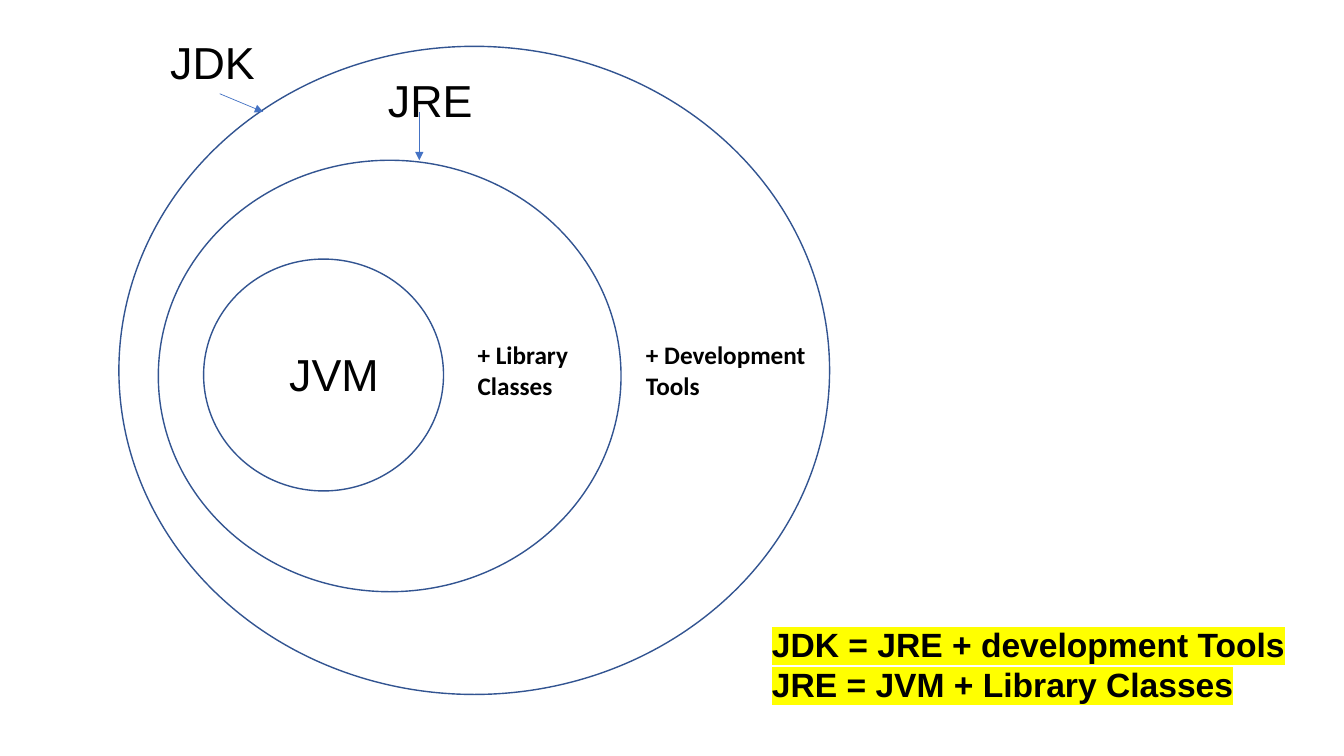
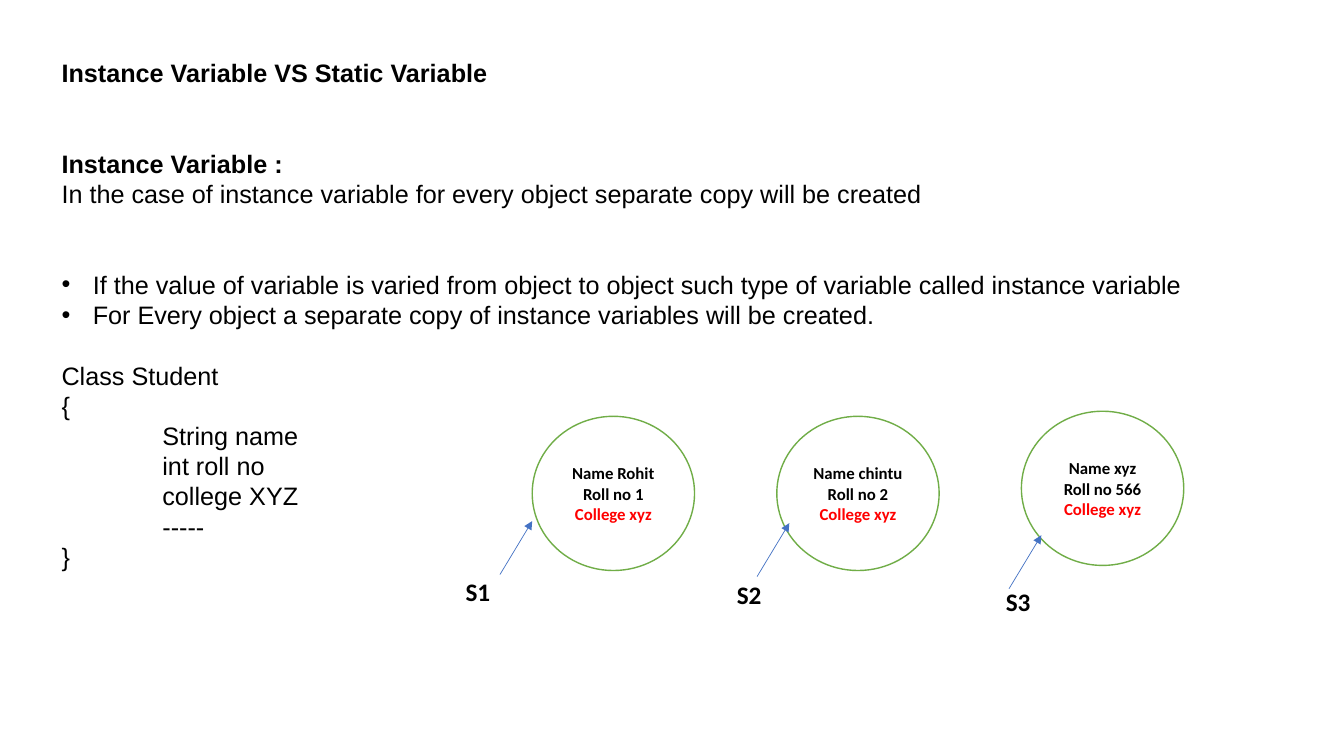
from dataclasses import dataclass
from typing import Optional

from lxml.etree import SubElement
from pptx import Presentation
from pptx.dml.color import RGBColor as RGB
from pptx.enum.shapes import MSO_CONNECTOR as Connector
from pptx.enum.shapes import MSO_SHAPE as Shape
from pptx.enum.text import MSO_ANCHOR as Anchor
from pptx.enum.text import MSO_AUTO_SIZE as AutoSize
from pptx.enum.text import PP_ALIGN as Align
from pptx.oxml.ns import qn
from pptx.util import Emu, Inches, Pt

# Shared look
COLORS = {
    "text": "000000",
    "paper": "FFFFFF",
    "ring": "325491",
    "arrow": "4472C4",
    "student": "70AD47",
    "alert": "FF0000",
    "marker": "FFFF00",
}
WIDTH, HEIGHT = Inches(13.33), Inches(7.5)
HEADING_FONT, LABEL_FONT = "Arial", "Calibri"
LINE_RATIO = 1.2  # line height of Arial text, as a share of its size
BODY_SIZE = 18
LINE_SHARE = 4  # one body line, in percent of the slide height


@dataclass(frozen=True)
class Area:
    """A rectangle in percent of the slide's width and height."""
    left: float
    top: float
    width: float
    height: float


@dataclass(frozen=True)
class Style:
    font: str = LABEL_FONT
    size: float = BODY_SIZE
    bold: bool = True
    color: str = "text"
    marker: Optional[str] = None


@dataclass(frozen=True)
class Line:
    text: str
    style: Style
    gap: int = 0  # empty lines above
    margin: float = 0  # inches
    bullet: bool = False


@dataclass(frozen=True)
class Student:
    name: str
    roll: str
    variable: str
    top: float
    label: tuple[float, float]
    arrow: tuple[float, float]


LABEL = Style()
BIG = Style(HEADING_FONT, 32, False)
SUMMARY = Style(HEADING_FONT, 24, marker="marker")
HEADING = Style(HEADING_FONT)
PLAIN = Style(HEADING_FONT, bold=False)
DETAIL = Style(size=12)
SHARED_DETAIL = Style(size=12, color="alert")


def rgb(name: str) -> RGB:
    return RGB.from_string(COLORS[name])


def across(share: float) -> Emu:
    return Emu(round(WIDTH * share / 100))


def down(share: float) -> Emu:
    return Emu(round(HEIGHT * share / 100))


def bounds(area: Area) -> tuple[Emu, Emu, Emu, Emu]:
    return across(area.left), down(area.top), across(area.width), down(area.height)


# Text
def add_span(para, text: str, style: Style) -> None:
    span = para.add_run()
    span.text = text
    font = span.font
    font.name, font.size, font.bold = style.font, Pt(style.size), style.bold
    font.color.rgb = rgb(style.color)
    if style.marker:
        properties = span._r.get_or_add_rPr()
        highlight = SubElement(properties, qn("a:highlight"))
        SubElement(highlight, qn("a:srgbClr"), val=COLORS[style.marker])
        properties.find(qn("a:solidFill")).addnext(highlight)


def set_bullet(para, line: Line) -> None:
    properties = para._p.get_or_add_pPr()
    margin = Inches(line.margin)
    properties.set("marL", str(margin))
    properties.set("indent", str(-margin if line.bullet else 0))
    if line.bullet:
        SubElement(properties, qn("a:buFont"), typeface=HEADING_FONT)
        SubElement(properties, qn("a:buChar"), char="•")
    else:
        SubElement(properties, qn("a:buNone"))


def write(frame, lines: list[Line], align=Align.LEFT, anchor=Anchor.TOP) -> None:
    frame.word_wrap = True
    frame.auto_size = AutoSize.NONE
    frame.vertical_anchor = anchor
    for index, line in enumerate(lines):
        para = frame.add_paragraph() if index else frame.paragraphs[0]
        para.alignment = align
        height = line.style.size * LINE_RATIO
        para.line_spacing = Pt(height) if line.style.font == HEADING_FONT else 1.0
        para.space_before = Pt(line.gap * height)
        para.space_after = Pt(0)
        set_bullet(para, line)
        add_span(para, line.text, line.style)


def add_label(page, area: Area, style: Style, *texts: str) -> None:
    box = page.shapes.add_textbox(*bounds(area))
    write(box.text_frame, [Line(text, style) for text in texts])


def fill_placeholder(holder, area: Area, lines: list[Line]) -> None:
    holder.left, holder.top, holder.width, holder.height = bounds(area)
    write(holder.text_frame, lines)


# Drawing
def add_round(page, kind: Shape, area: Area, outline: str):
    circle = page.shapes.add_shape(kind, *bounds(area))
    circle.shadow.inherit = False
    circle.fill.solid()
    circle.fill.fore_color.rgb = rgb("paper")
    circle.line.color.rgb = rgb(outline)
    circle.line.width = Pt(1)
    return circle


def add_arrow(page, start: tuple[float, float], end: tuple[float, float]) -> None:
    arrow = page.shapes.add_connector(
        Connector.STRAIGHT, across(start[0]), down(start[1]), across(end[0]), down(end[1]))
    arrow.line.color.rgb = rgb("arrow")
    arrow.line.width = Pt(0.5)
    SubElement(arrow.line._get_or_add_ln(), qn("a:tailEnd"), type="triangle")
    SubElement(arrow._element.spPr, qn("a:effectLst"))


# Slide 1: nested parts of the JDK
def build_kit_page(deck) -> None:
    page = deck.slides.add_slide(deck.slide_layouts[6])
    rings = [
        Area(8.85, 6.13, 52.88, 85.73),
        Area(11.78, 21.2, 34.43, 57.07),
        Area(15.15, 34.27, 17.85, 30.67),
    ]
    for ring in rings:
        add_round(page, Shape.OVAL, ring, "ring")

    for text, left, top in [("JDK", 11.93, 3.87), ("JRE", 28.13, 8.93), ("JVM", 20.78, 45.2)]:
        add_label(page, Area(left, top, 8.6, 8.53), BIG, text)
    for left, texts in [(34.8, ("+ Library", "Classes")), (47.33, ("+ Development", "Tools"))]:
        add_label(page, Area(left, 44.27, 14.4, 9.47), LABEL, *texts)

    add_arrow(page, (16.35, 12.4), (19.58, 14.8))
    add_arrow(page, (31.2, 14.8), (31.2, 21.2))
    add_label(page, Area(56.7, 81.87, 41, 12.13), SUMMARY,
              "JDK = JRE + development Tools", "JRE = JVM + Library Classes")


# Slide 2: instance variables
def build_variable_page(deck) -> None:
    page = deck.slides.add_slide(deck.slide_layouts[1])
    left, top, width = 3.83, 6.93, 90
    title = Line("Instance Variable VS Static Variable", HEADING)
    fill_placeholder(page.shapes.title, Area(left, top, width, 5.33), [title])

    hang, code = 0.31, 1
    lines = [
        Line("Instance Variable :", HEADING),
        Line("In the case of instance variable for every object separate copy will be created",
             PLAIN),
        Line("If the value of variable is varied from object to object such type of variable "
             "called instance variable", PLAIN, 2, hang, True),
        Line("For Every object a separate copy of instance variables will be created.",
             PLAIN, 0, hang, True),
        Line("Class Student", PLAIN, 1),
        Line("{", PLAIN),
        *[Line(text, PLAIN, margin=code)
          for text in ("String name", "int roll no", "college XYZ", "-----")],
        Line("}", PLAIN),
    ]
    body = Area(left, top + 3 * LINE_SHARE, width, 14 * LINE_SHARE + 1.33)
    fill_placeholder(page.placeholders[1], body, lines)

    # Student objects and the variables that point at them
    students = [
        Student("Rohit", "1", "S1", 55.07, (33.9, 75.6), (37.2, 76)),
        Student("chintu", "2", "S2", 55.07, (54.08, 76), (56.33, 76.27)),
        Student("xyz", "566", "S3", 54.4, (74.1, 76.93), (75.08, 77.87)),
    ]
    for column, student in enumerate(students):
        area = Area(39.6 + 18.2 * column, student.top, 12.08, 20.4)
        circle = add_round(page, Shape.FLOWCHART_CONNECTOR, area, "student")
        details = [
            Line(f"Name {student.name}", DETAIL),
            Line(f"Roll no {student.roll}", DETAIL),
            Line("College xyz", SHARED_DETAIL),
        ]
        write(circle.text_frame, details, Align.CENTER, Anchor.MIDDLE)
        add_label(page, Area(*student.label, 3.6, 5.33), LABEL, student.variable)
        x, y = student.arrow
        add_arrow(page, (x, y), (x + 2.4, y - 7.07))


def main() -> None:
    deck = Presentation()
    deck.slide_width, deck.slide_height = WIDTH, HEIGHT
    build_kit_page(deck)
    build_variable_page(deck)
    deck.save("out.pptx")


if __name__ == "__main__":
    main()
